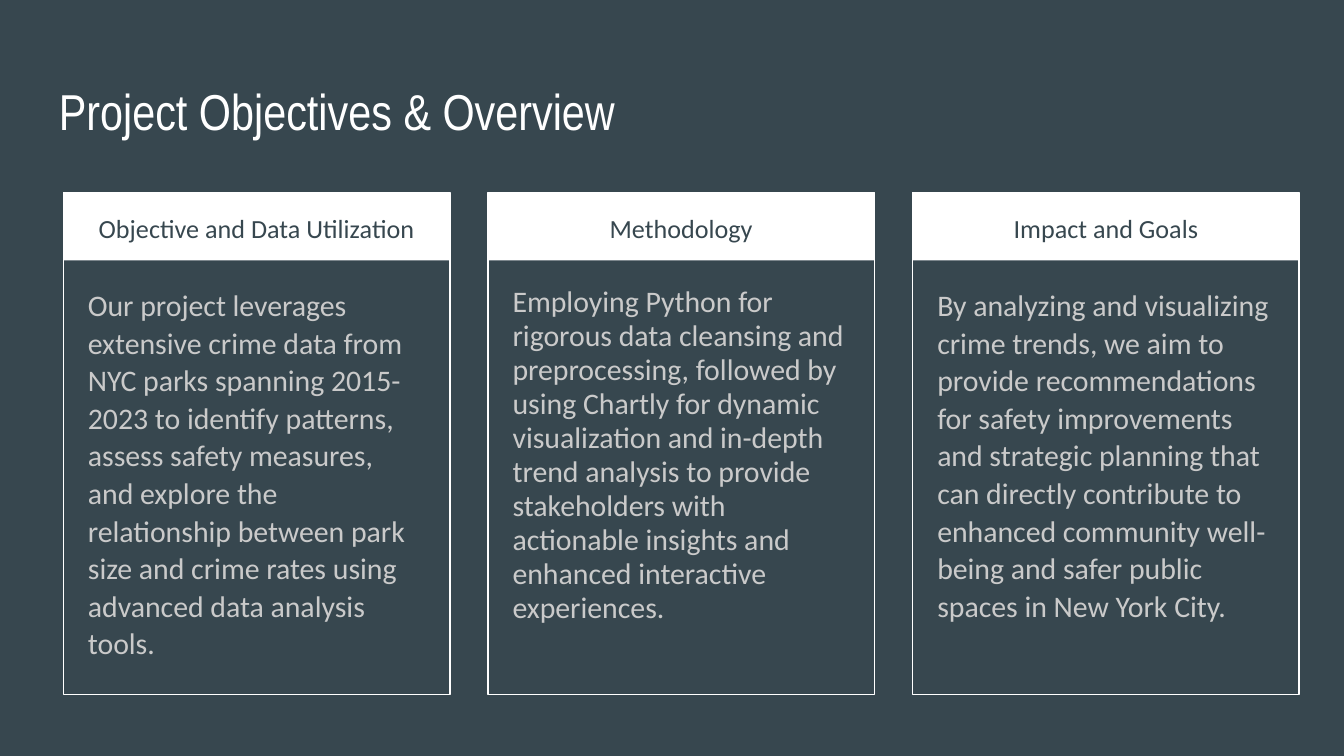
from dataclasses import dataclass

from pptx import Presentation
from pptx.dml.color import RGBColor
from pptx.enum.shapes import MSO_SHAPE
from pptx.enum.text import MSO_ANCHOR, PP_ALIGN
from pptx.util import Pt

RECT = MSO_SHAPE.RECTANGLE
TOP, MIDDLE = MSO_ANCHOR.TOP, MSO_ANCHOR.MIDDLE
LEFT, CENTER = PP_ALIGN.LEFT, PP_ALIGN.CENTER


@dataclass(frozen=True)
class Theme:
    """Colours, fonts and type sizes of the slide."""
    background: RGBColor = RGBColor(0x37, 0x47, 0x4F)
    light: RGBColor = RGBColor(0xFF, 0xFF, 0xFF)
    body: RGBColor = RGBColor(0xCA, 0xCA, 0xCA)
    title_font: str = "Arial Narrow"
    text_font: str = "Calibri"
    title_size: float = 27
    header_size: float = 14
    body_size: float = 16
    line: float = 0.75


THEME = Theme()

CARDS = [
    ("Objective and Data Utilization",
     "Our project leverages extensive crime data from NYC parks spanning "
     "2015-2023 to identify patterns, assess safety measures, and explore the "
     "relationship between park size and crime rates using advanced data "
     "analysis tools.", 1.05),
    ("Methodology",
     "Employing Python for rigorous data cleansing and preprocessing, followed "
     "by using Chartly for dynamic visualization and in-depth trend analysis to "
     "provide stakeholders with actionable insights and enhanced interactive "
     "experiences.", 0.95),
    ("Impact and Goals",
     "By analyzing and visualizing crime trends, we aim to provide "
     "recommendations for safety improvements and strategic planning that can "
     "directly contribute to enhanced community well-being and safer public "
     "spaces in New York City.", 1.05),
]


def set_all(obj, values):
    """Set each attribute of obj from a dict."""
    for name, value in values.items():
        setattr(obj, name, value)


def add_text(s, box, text, font, size, color, anchor=TOP, **paragraph):
    """Add one wrapped paragraph in a text box."""
    tf = s.shapes.add_textbox(*map(Pt, box)).text_frame
    margins = {f"margin_{side}": Pt(7.2)
               for side in ("left", "top", "right", "bottom")}
    set_all(tf, {"word_wrap": True, "vertical_anchor": anchor, **margins})
    p = tf.paragraphs[0]
    set_all(p, {"alignment": LEFT, **paragraph})
    r = p.add_run()
    r.text = text
    set_all(r.font, {"name": font, "size": Pt(size)})
    r.font.color.rgb = color


def add_rect(s, box, fill=None, line=None):
    """Add a rectangle with an optional fill and outline."""
    sp = s.shapes.add_shape(RECT, *map(Pt, box))
    sp.shadow.inherit = False
    if fill is None:
        sp.fill.background()
    else:
        sp.fill.solid()
        sp.fill.fore_color.rgb = fill
    if line is None:
        sp.line.fill.background()
    else:
        sp.line.color.rgb = line
        sp.line.width = Pt(THEME.line)


def add_title(s, box, text):
    """Place the slide title in its box."""
    add_text(s, box, text, THEME.title_font, THEME.title_size, THEME.light)


def add_card(s, box, header, body, spacing):
    """Place an outlined card with a header band and body text."""
    x, y, w, h = box
    band = 36.5
    add_rect(s, (x, y, w, band), fill=THEME.light)
    add_rect(s, box, line=THEME.light)
    add_text(s, (x + 5.5, y, w - 11, band - 0.5), header, THEME.text_font,
             THEME.header_size, THEME.background, MIDDLE,
             alignment=CENTER, line_spacing=1.15)
    add_text(s, (x + 6, y + band + 6, w - 12, h - band - 12.5), body,
             THEME.text_font, THEME.body_size, THEME.body,
             line_spacing=spacing, space_after=Pt(12))


def main():
    """Build and save the slide."""
    prs = Presentation()
    set_all(prs, {"slide_width": Pt(720), "slide_height": Pt(405)})
    s = prs.slides.add_slide(prs.slide_layouts[6])
    s.background.fill.solid()
    s.background.fill.fore_color.rgb = THEME.background
    add_title(s, (24.5, 35.5, 671, 45), "Project Objectives & Overview")
    left, pitch = 34, 227.5
    for i, card in enumerate(CARDS):
        add_card(s, (left + i * pitch, 103, 207, 269), *card)
    prs.save("out.pptx")


if __name__ == "__main__":
    main()
